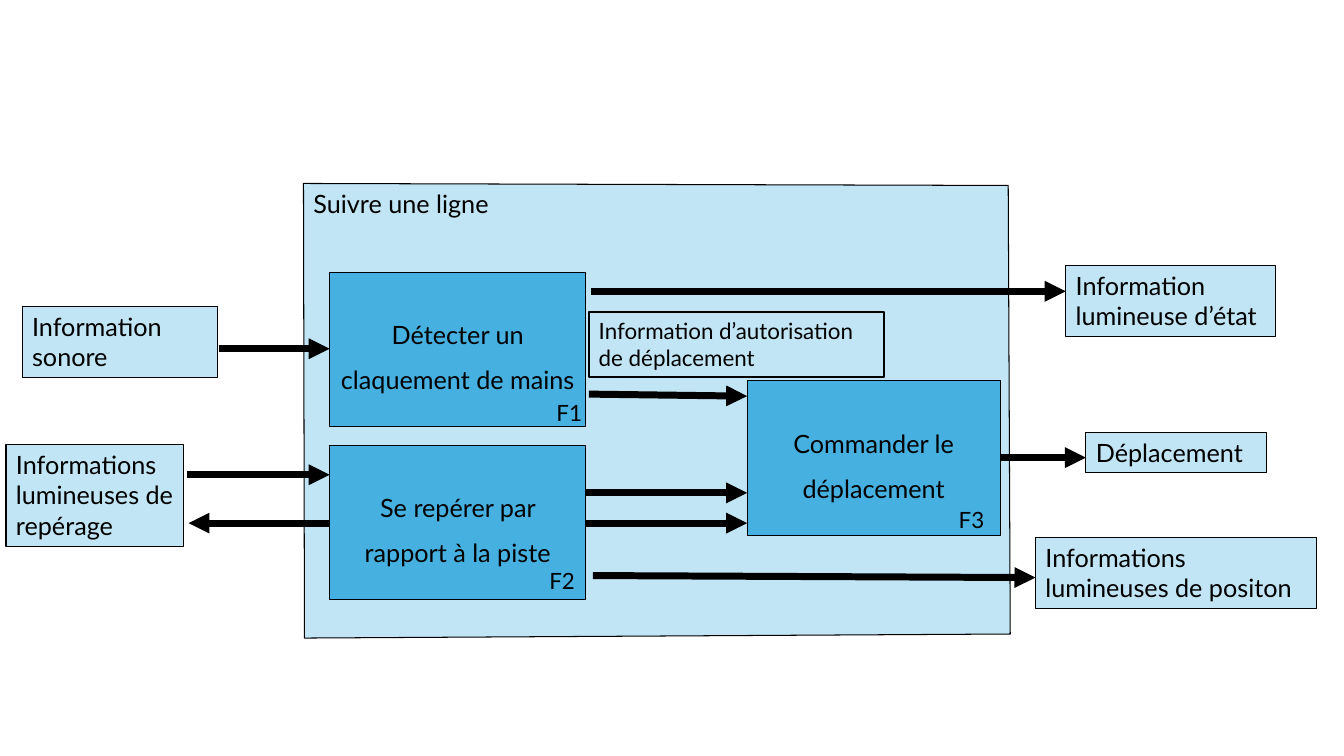
from collections import namedtuple

from lxml.etree import SubElement
from pptx import Presentation
from pptx.dml.color import RGBColor
from pptx.enum.shapes import MSO_CONNECTOR, MSO_SHAPE
from pptx.enum.text import MSO_ANCHOR, PP_ALIGN
from pptx.oxml.ns import qn
from pptx.util import Inches, Pt

Box = namedtuple("Box", "x y w h")
BLACK, PALE, BLUE = "000000", "C1E5F5", "46B1E1"

SYSTEM = Box(3.01, 1.82, 7.01, 4.51)
CLAP = Box(3.27, 2.7, 2.54, 1.53)
TRACK = Box(3.27, 4.42, 2.54, 1.53)
DRIVE = Box(7.41, 3.78, 2.51, 1.53)

BLOCKS = [
    (CLAP, "Détecter un claquement de mains", "F1", 2.15, 1.21),
    (DRIVE, "Commander le déplacement", "F3", 2, 1.19),
    (TRACK, "Se repérer par rapport à la piste", "F2", 2.08, 1.16),
]
INPUTS = [
    (Box(0.22, 3.04, 1.94, 0.71), "Information sonore", [(2.17, 3.46, CLAP.x, 3.46)]),
    (Box(0.06, 4.41, 1.76, 1.01), "Informations lumineuses de repérage",
     [(1.85, 4.71, TRACK.x, 4.71), (TRACK.x, 5.19, 1.87, 5.19)]),
]
OUTPUTS = [
    (Box(10.57, 2.63, 2.08, 0.71), "Information lumineuse d’état", [(5.86, 2.89, 10.57, 2.89)]),
    (Box(10.77, 4.29, 1.79, 0.4), "Déplacement", [(DRIVE.x + DRIVE.w, 4.54, 10.77, 4.54)]),
    (Box(10.27, 5.33, 2.79, 0.71), "Informations lumineuses de positon", [(5.88, 5.71, 10.27, 5.73)]),
]
INNER_FLOWS = [
    (5.84, 3.91, DRIVE.x, 3.93),
    (TRACK.x + TRACK.w, 4.89, DRIVE.x, 4.89),
    (TRACK.x + TRACK.w, 5.19, DRIVE.x, 5.19),
]


def rgb(value):
    """Turn a hex string into a colour."""
    return RGBColor.from_string(value)


def put(target, formats):
    """Set every attribute named in formats on target."""
    for name, value in formats.items():
        setattr(target, name, value)


def inches(*values):
    """Convert several lengths to inches."""
    return [Inches(v) for v in values]


def paint(sp, fill, width=0.75):
    """Give a shape its fill and black outline, without shadow."""
    sp.shadow.inherit = False
    sp.fill.solid()
    sp.fill.fore_color.rgb = rgb(fill)
    sp.line.color.rgb = rgb(BLACK)
    sp.line.width = Pt(width)


def write(sp, text, size=18, anchor=MSO_ANCHOR.TOP, **paragraph):
    """Write one paragraph of black text in a shape."""
    tf = sp.text_frame
    put(tf, {"word_wrap": True, "vertical_anchor": anchor})
    p = tf.paragraphs[0]
    put(p, {"alignment": PP_ALIGN.LEFT, **paragraph})
    r = p.add_run()
    r.text = text
    put(r.font, {"name": "Lato", "size": Pt(size)})
    r.font.color.rgb = rgb(BLACK)


def add_label(s, box, text, fill=PALE, width=0.75, **formats):
    """Draw a filled rectangle with its text."""
    sp = s.shapes.add_shape(MSO_SHAPE.RECTANGLE, *inches(*box))
    paint(sp, fill, width)
    write(sp, text, **formats)


def add_arrow(s, ends):
    """Draw a thick arrow between two points."""
    cxn = s.shapes.add_connector(MSO_CONNECTOR.STRAIGHT, *inches(*ends))
    cxn.line.color.rgb = rgb(BLACK)
    cxn.line.width = Pt(5)
    SubElement(cxn.line._get_or_add_ln(), qn("a:tailEnd"), type="triangle")
    SubElement(cxn._element.spPr, qn("a:effectLst"))


def add_system(s, box):
    """Draw the slightly skewed frame of the whole system."""
    x, y, w, h = box
    corners = [(x + w - 0.02, y + 0.02), (x + w, y + h - 0.04), (x + 0.01, y + h)]
    builder = s.shapes.build_freeform(Inches(x), Inches(y))
    builder.add_line_segments([inches(*corner) for corner in corners], close=True)
    sp = builder.convert_to_shape()
    paint(sp, PALE)
    write(sp, "Suivre une ligne")


def add_block(s, box, text, tag, dx, dy):
    """Draw a function block with its tag near the lower right corner."""
    add_label(s, box, text, BLUE, anchor=MSO_ANCHOR.MIDDLE,
              alignment=PP_ALIGN.CENTER, line_spacing=1.5)
    tb = s.shapes.add_textbox(*inches(box.x + dx, box.y + dy, 0.49, 0.37))
    write(tb, tag, 16)


def add_exchange(s, box, text, flows):
    """Draw an outside label and the arrows that join it to the system."""
    add_label(s, box, text)
    for ends in flows:
        add_arrow(s, ends)


def main():
    """Build the functional diagram."""
    prs = Presentation()
    put(prs, {"slide_width": Inches(13.33), "slide_height": Inches(7.5)})
    s = prs.slides.add_slide(prs.slide_layouts[6])
    add_system(s, SYSTEM)
    for block in BLOCKS:
        add_block(s, *block)
    add_label(s, Box(5.84, 3.1, 2.93, 0.64), "Information d’autorisation de déplacement",
              width=1.5, size=16)
    for ends in INNER_FLOWS:
        add_arrow(s, ends)
    for exchange in OUTPUTS + INPUTS:
        add_exchange(s, *exchange)
    prs.save("out.pptx")


if __name__ == "__main__":
    main()
